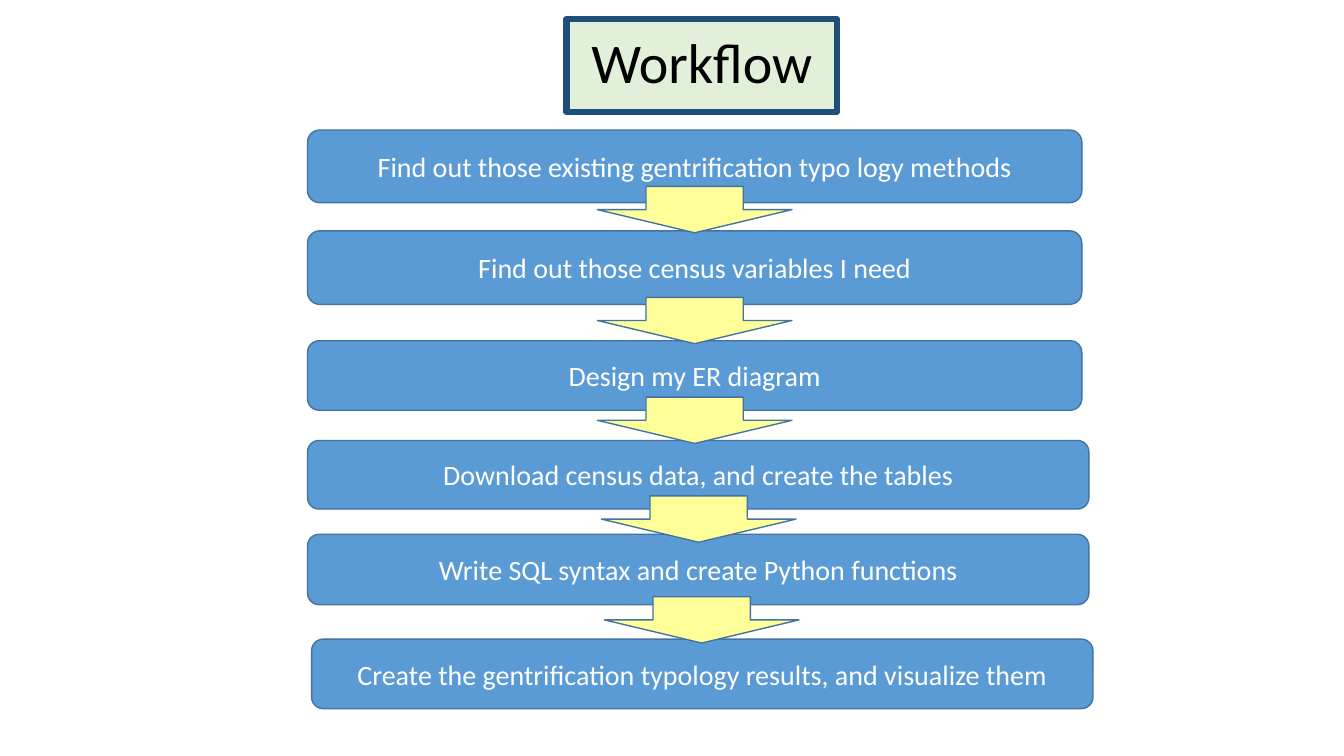
from pptx import Presentation
from pptx.dml.color import RGBColor
from pptx.enum.shapes import MSO_SHAPE as Shape
from pptx.enum.text import MSO_ANCHOR as Anchor, PP_ALIGN as Align
from pptx.util import Inches, Pt

BLUE = RGBColor(0x5B, 0x9B, 0xD5)
EDGE = RGBColor(0x43, 0x73, 0x9E)
YELLOW = RGBColor(0xFF, 0xFF, 0x99)
GREEN = RGBColor(0xE2, 0xF0, 0xD9)
NAVY = RGBColor(0x1F, 0x4E, 0x79)
WHITE = RGBColor(0xFF, 0xFF, 0xFF)
BLACK = RGBColor(0, 0, 0)

ARROW_WIDTH, ARROW_HEIGHT = 1.93, 0.46

# Step text, left, top, width, height
STEPS = [
    ("Find out those existing gentrification typo logy methods", 3.05, 1.29, 7.68, 0.72),
    ("Find out those census variables I need", 3.05, 2.29, 7.68, 0.73),
    ("Design my ER diagram", 3.05, 3.38, 7.68, 0.69),
    ("Download census data, and create the tables", 3.05, 4.37, 7.75, 0.68),
    ("Write SQL syntax and create Python functions", 3.05, 5.3, 7.75, 0.7),
    ("Create the gentrification typology results, and visualize them", 3.09, 6.34, 7.75, 0.69),
]
# Centre and top of each arrow
ARROWS = [(6.89, 1.85), (6.89, 2.95), (6.89, 3.94), (6.93, 4.92), (6.96, 5.92)]


class WorkflowPage:
    font_name = "Calibri"

    def __init__(self, deck):
        self.page = deck.slides.add_slide(deck.slide_layouts[6])

    def shape(self, kind, left, top, width, height, fill, edge=EDGE, weight=1):
        shape = self.page.shapes.add_shape(
            kind, Inches(left), Inches(top), Inches(width), Inches(height))
        shape.shadow.inherit = False
        shape.fill.solid()
        shape.fill.fore_color.rgb = fill
        shape.line.color.rgb = edge
        shape.line.width = Pt(weight)
        return shape

    def label(self, shape, text, size, color, spacing=1.0):
        """Write centred text inside a shape."""
        frame = shape.text_frame
        frame.word_wrap = True
        frame.vertical_anchor = Anchor.MIDDLE
        para = frame.paragraphs[0]
        para.alignment = Align.CENTER
        para.line_spacing = spacing
        span = para.add_run()
        span.text = text
        for name, value in {"name": self.font_name, "size": Pt(size)}.items():
            setattr(span.font, name, value)
        span.font.color.rgb = color

    def title(self, text, *place):
        box = self.shape(Shape.RECTANGLE, *place, GREEN, NAVY, 4.5)
        self.label(box, text, 40, BLACK, 0.9)

    def step(self, text, *place):
        box = self.shape(Shape.ROUNDED_RECTANGLE, *place, BLUE)
        self.label(box, text, 20, WHITE)

    def arrow(self, center, top):
        self.shape(Shape.DOWN_ARROW, center - ARROW_WIDTH / 2, top,
                   ARROW_WIDTH, ARROW_HEIGHT, YELLOW)


def main():
    deck = Presentation()
    deck.slide_width, deck.slide_height = Inches(13.33), Inches(7.5)
    workflow = WorkflowPage(deck)
    for step in STEPS:
        workflow.step(*step)
    for arrow in ARROWS:
        workflow.arrow(*arrow)
    workflow.title("Workflow", 5.62, 0.19, 2.68, 0.92)
    deck.save("out.pptx")


if __name__ == "__main__":
    main()
